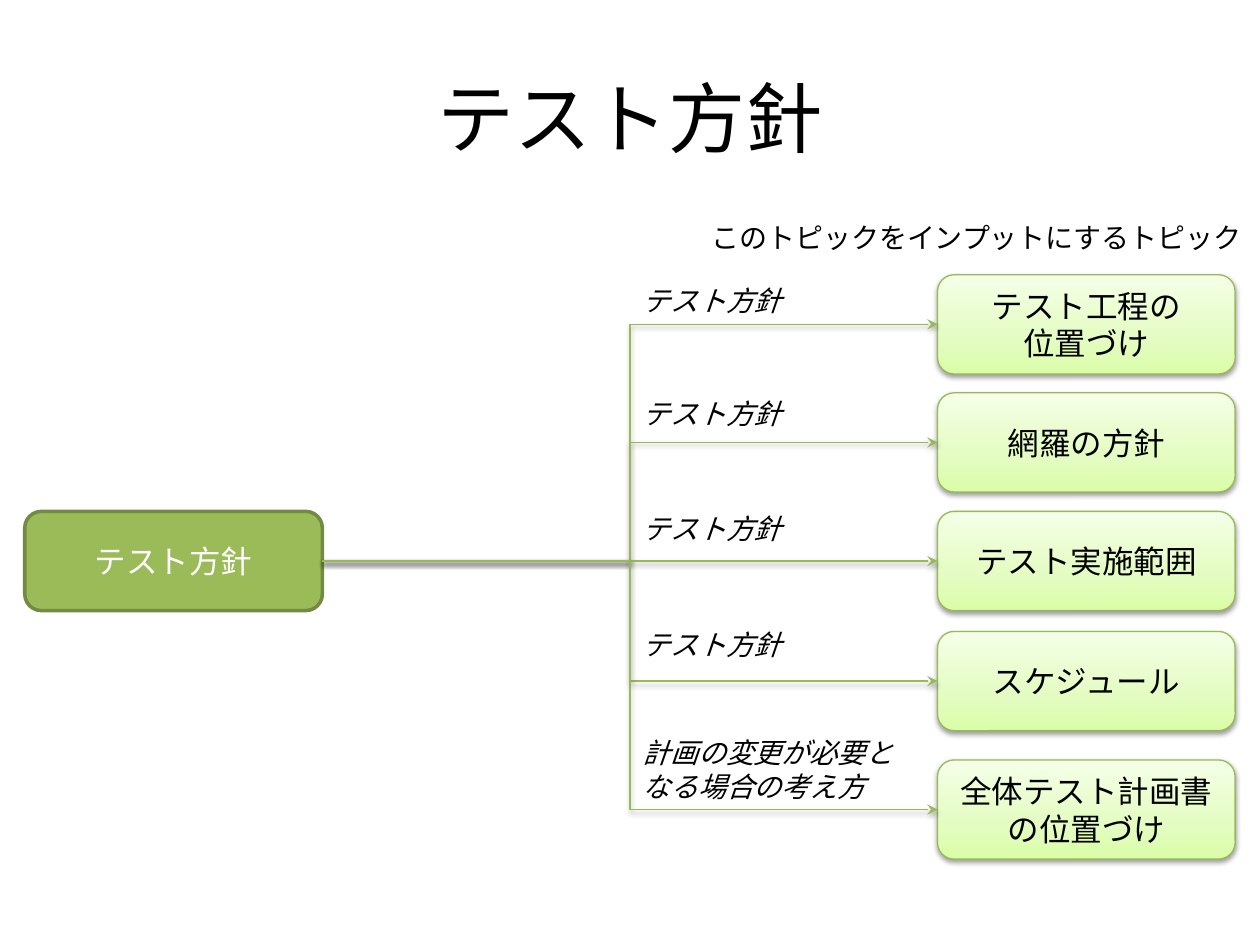
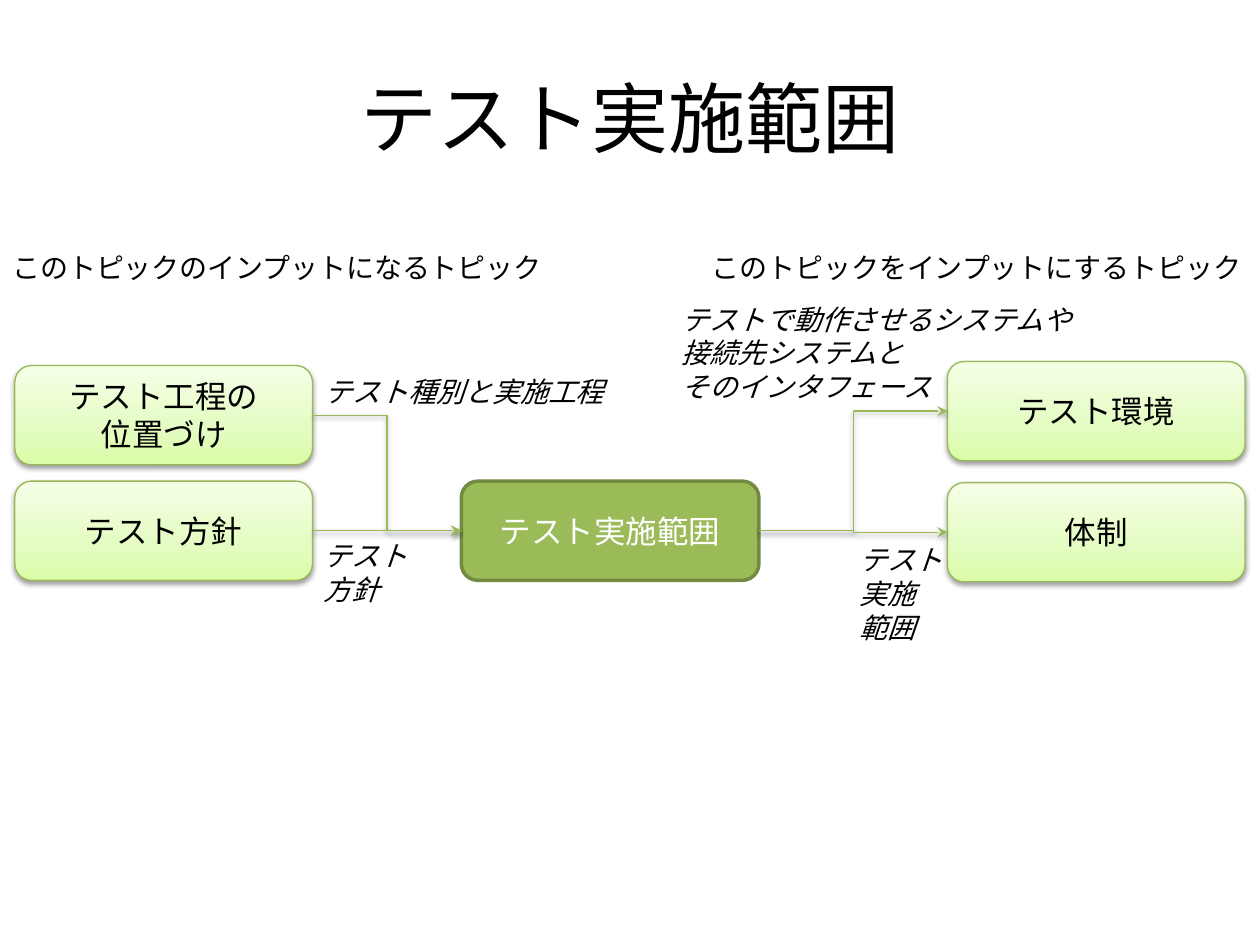
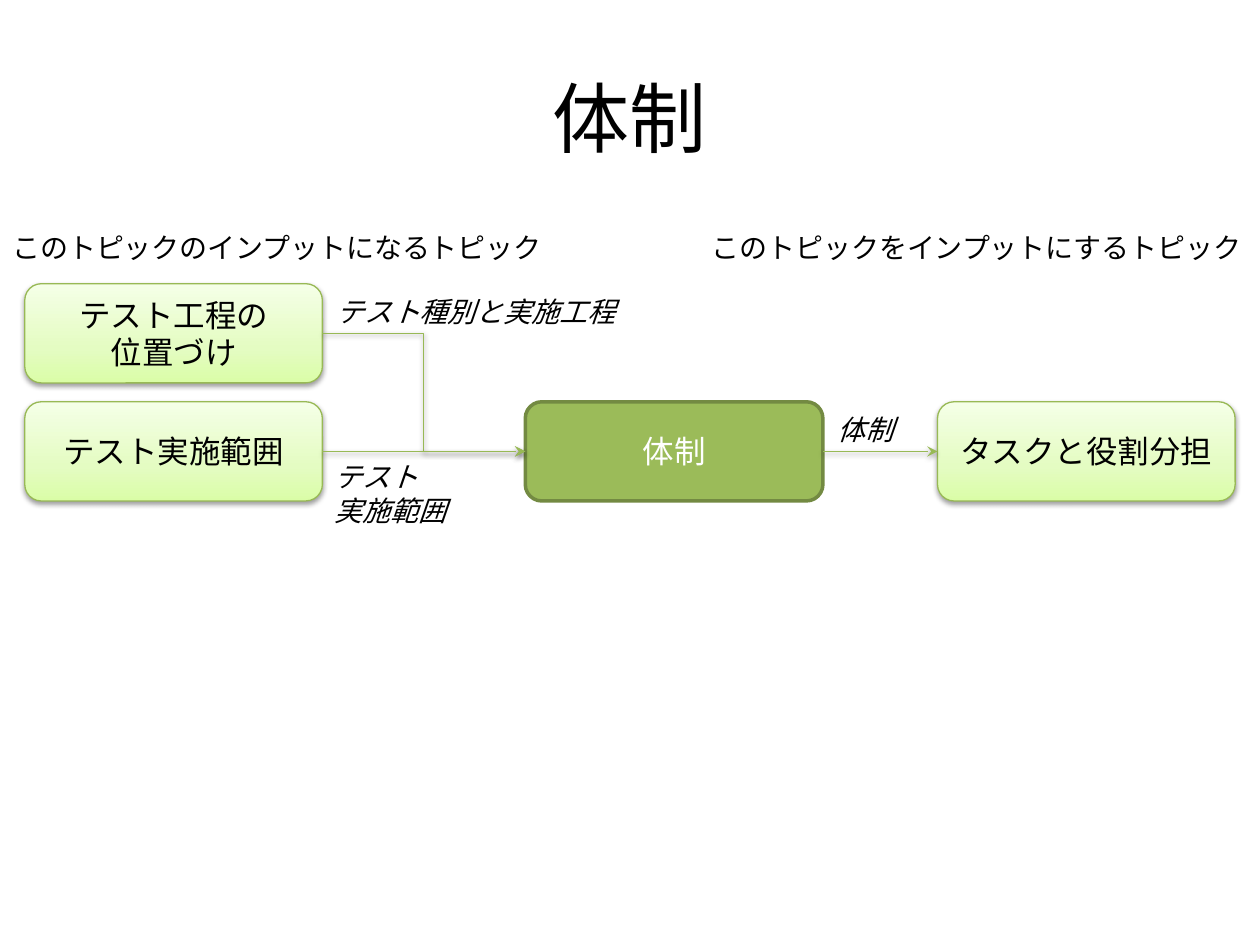
from lxml import etree
from pptx import Presentation
from pptx.dml.color import RGBColor
from pptx.enum.shapes import MSO_CONNECTOR, MSO_SHAPE
from pptx.enum.text import MSO_ANCHOR, PP_ALIGN
from pptx.oxml.ns import qn
from pptx.util import Cm, Pt

ROUNDED = MSO_SHAPE.ROUNDED_RECTANGLE
STRAIGHT, ELBOW = MSO_CONNECTOR.STRAIGHT, MSO_CONNECTOR.ELBOW
LEFT, CENTER = PP_ALIGN.LEFT, PP_ALIGN.CENTER
MIDDLE = MSO_ANCHOR.MIDDLE
RIGHT_SIDE, LEFT_SIDE = 3, 1

FONT = "Noto Sans CJK JP"
COLORS = {
    "text": "000000",
    "topic": "9BBB59",
    "topic_line": "738A42",
    "topic_text": "FFFFFF",
    "line": "98B955",
    "shadow": "000000",
}
# Gradient from the bottom of a box to its top: position in percent, colour
GRADIENT = [(0, "DAFDA7"), (35, "E4FCC2"), (100, "F5FFE7")]

NODE_W, NODE_H = 6, 2
INPUT_HEADING = "このトピックのインプットになるトピック"
OUTPUT_HEADING = "このトピックをインプットにするトピック"
INPUT_X, OUTPUT_X, HEADING_W = 0, 14.1, 11.35


def rgb(key):
    return RGBColor.from_string(COLORS[key])


def add_xml(parent, tag, **attributes):
    child = etree.SubElement(parent, qn(tag))
    for key, value in attributes.items():
        child.set(key, str(value))
    return child


def write(frame, text, size, color="text", align=LEFT, italic=False):
    """Fill a text frame, one paragraph for each line of the text."""
    frame.text = text
    frame.word_wrap = True
    for paragraph in frame.paragraphs:
        paragraph.alignment = align
        font = paragraph.font
        font.name, font.size, font.italic = FONT, Pt(size), italic
        font.color.rgb = rgb(color)
        defaults = paragraph._p.pPr.find(qn("a:defRPr"))
        add_xml(defaults, "a:ea", typeface=FONT)


def cast_shadow(shape):
    """Add the soft shadow below; call once fill and line are set."""
    effects = add_xml(shape._element.spPr, "a:effectLst")
    shadow = add_xml(effects, "a:outerShdw", blurRad=Pt(3.1), dist=Pt(1.6),
                     dir=5400000, rotWithShape=0)
    color = add_xml(shadow, "a:srgbClr", val=COLORS["shadow"])
    add_xml(color, "a:alpha", val=38000)


def add_title(slide, text):
    title = slide.shapes.add_textbox(Cm(1.27), Cm(0.76), Cm(22.86), Cm(3.18))
    title.text_frame.vertical_anchor = MIDDLE
    write(title.text_frame, text, 44, align=CENTER)


def add_label(slide, text, x, y, width, lines=1, italic=True):
    label = slide.shapes.add_textbox(
        Cm(x), Cm(y), Cm(width), Cm(0.25 + 0.68 * lines))
    write(label.text_frame, text, 16, italic=italic)


def add_heading(slide, text, x, y):
    add_label(slide, text, x, y, HEADING_W, italic=False)


def add_node(slide, text, x, y, text_color):
    node = slide.shapes.add_shape(ROUNDED, Cm(x), Cm(y), Cm(NODE_W), Cm(NODE_H))
    node.text_frame.vertical_anchor = MIDDLE
    write(node.text_frame, text, 18, text_color, CENTER)
    return node


def add_topic(slide, text, x, y):
    """The topic that the slide is about."""
    topic = add_node(slide, text, x, y, "topic_text")
    topic.shadow.inherit = False
    topic.fill.solid()
    topic.fill.fore_color.rgb = rgb("topic")
    topic.line.color.rgb = rgb("topic_line")
    topic.line.width = Pt(2)
    return topic


def add_related(slide, text, x, y):
    """A topic that feeds the main one or is fed by it."""
    related = add_node(slide, text, x, y, "text")
    related.fill.gradient()
    related.fill.gradient_angle = 90
    stops = related._element.spPr.find(qn("a:gradFill")).find(qn("a:gsLst"))
    for old_stop in list(stops):
        stops.remove(old_stop)
    for percent, color in GRADIENT:
        stop = add_xml(stops, "a:gs", pos=percent * 1000)
        add_xml(stop, "a:srgbClr", val=color)
    related.line.color.rgb = rgb("line")
    related.line.width = Pt(0.75)
    cast_shadow(related)
    return related


def add_arrow(slide, source, target):
    kind = STRAIGHT if source.top == target.top else ELBOW
    arrow = slide.shapes.add_connector(kind, 0, 0, 0, 0)
    arrow.begin_connect(source, RIGHT_SIDE)
    arrow.end_connect(target, LEFT_SIDE)
    arrow.line.color.rgb = rgb("line")
    arrow.line.width = Pt(0.75)
    add_xml(arrow._element.spPr.find(qn("a:ln")), "a:tailEnd", type="stealth")
    cast_shadow(arrow)


def add_topic_slide(deck, title, topic_at, heading_y, inputs, outputs, labels):
    slide = deck.slides.add_slide(deck.slide_layouts[6])
    add_title(slide, title)
    topic = add_topic(slide, title, *topic_at)

    # Topics on both sides and their arrows
    for name, x, y in inputs:
        add_arrow(slide, add_related(slide, name, x, y), topic)
    for name, x, y in outputs:
        add_arrow(slide, topic, add_related(slide, name, x, y))

    # Headings of the sides in use
    if inputs:
        add_heading(slide, INPUT_HEADING, INPUT_X, heading_y)
    if outputs:
        add_heading(slide, OUTPUT_HEADING, OUTPUT_X, heading_y)

    # What is handed over along each arrow
    for label in labels:
        add_label(slide, *label)


def main():
    deck = Presentation()
    deck.slide_width, deck.slide_height = Cm(25.4), Cm(19.05)

    # Test policy
    policy_labels = [("テスト方針", 12.7, y, 3.4)
                     for y in (5.59, 7.87, 10.19, 12.52)]
    add_topic_slide(
        deck, "テスト方針", (0.5, 10.31), 4.32,
        inputs=[],
        outputs=[("テスト工程の\n位置づけ", 18.9, 5.54),
                 ("網羅の方針", 18.9, 7.92),
                 ("テスト実施範囲", 18.9, 10.31),
                 ("スケジュール", 18.9, 12.73),
                 ("全体テスト計画書\nの位置づけ", 18.9, 15.32)],
        labels=policy_labels + [
            ("計画の変更が必要となる場合の考え方", 12.7, 14.71, 5.72, 2)])

    # Test scope
    add_topic_slide(
        deck, "テスト実施範囲", (9.3, 9.7), 4.93,
        inputs=[("テスト工程の\n位置づけ", 0.3, 7.37),
                ("テスト方針", 0.3, 9.7)],
        outputs=[("テスト環境", 19.1, 7.29),
                 ("体制", 19.1, 9.73)],
        labels=[("テスト\n方針", 6.27, 10.74, 2.24, 2),
                ("テスト種別と実施工程", 6.3, 7.42, 6.81),
                ("テスト\n実施\n範囲", 17.07, 10.82, 2.24, 3),
                ("テストで動作させるシステムや接続先システムと\n"
                 "そのインタフェース", 13.49, 5.97, 8.43, 3)])

    # Organisation
    add_topic_slide(
        deck, "体制", (10.59, 8.1), 4.52,
        inputs=[("テスト工程の\n位置づけ", 0.5, 5.72),
                ("テスト実施範囲", 0.5, 8.1)],
        outputs=[("タスクと役割分担", 18.9, 8.1)],
        labels=[("テスト\n実施範囲", 6.5, 9.14, 2.8, 2),
                ("テスト種別と実施工程", 6.53, 5.82, 7.01),
                ("体制", 16.64, 8.2, 1.65)])

    deck.save("out.pptx")


if __name__ == "__main__":
    main()
